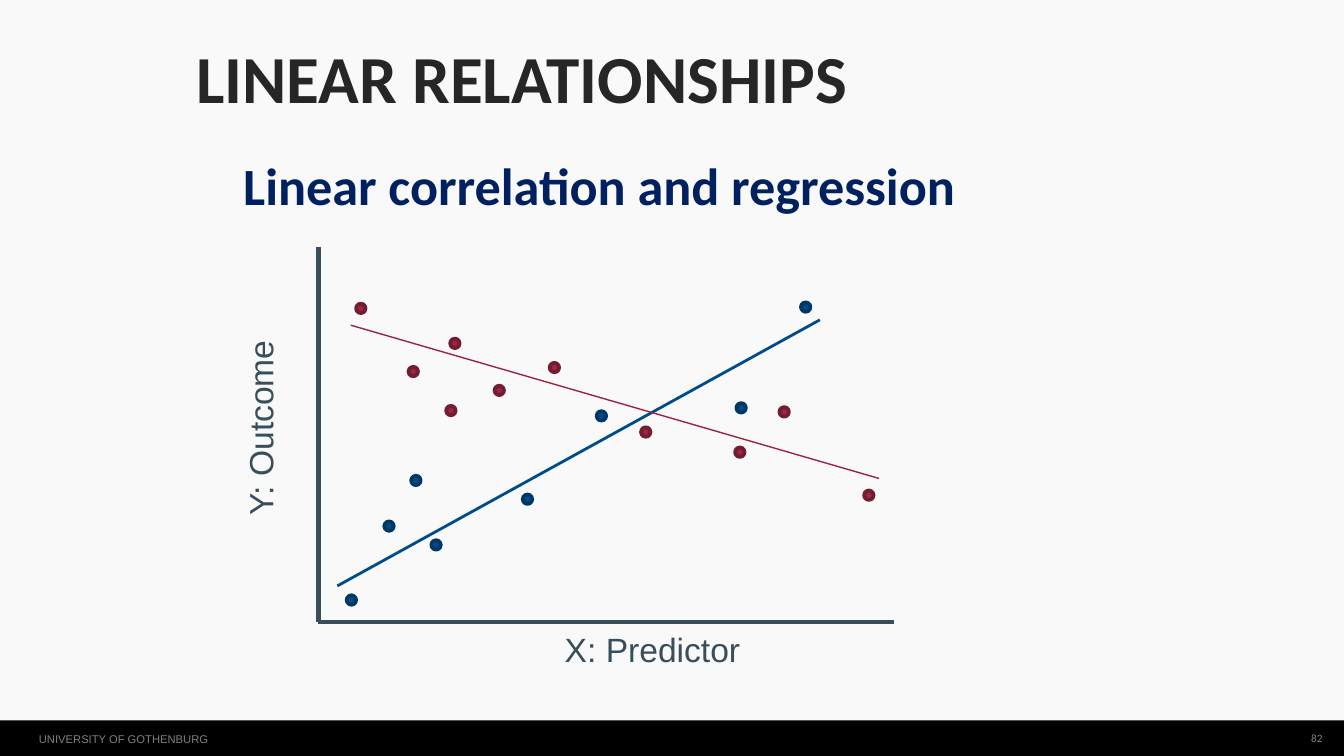
from lxml import etree
from pptx import Presentation
from pptx.dml.color import RGBColor
from pptx.enum.shapes import MSO_CONNECTOR, MSO_SHAPE
from pptx.enum.text import MSO_ANCHOR, PP_ALIGN
from pptx.oxml.ns import qn
from pptx.util import Inches, Pt

STRAIGHT = MSO_CONNECTOR.STRAIGHT
RECTANGLE, OVAL = MSO_SHAPE.RECTANGLE, MSO_SHAPE.OVAL
LEFT, CENTER, RIGHT = PP_ALIGN.LEFT, PP_ALIGN.CENTER, PP_ALIGN.RIGHT
TOP, MIDDLE, BOTTOM = MSO_ANCHOR.TOP, MSO_ANCHOR.MIDDLE, MSO_ANCHOR.BOTTOM

THEME = {
    "background": "F9F9F9", "footer_bar": "000000",
    # text styles: font, size, colour, bold
    "title": ("Calibri", 36, "262626", True),
    "subtitle": ("Calibri", 28, "002060", True),
    "axis_label": ("Arial", 18, "384E5B", False),
    "footer": ("Arial", 6, "808080", False),
    "page_number": ("Calibri", 6, "808080", False),
    # line styles: colour, width
    "axis": ("384E5B", 2.25),
    "rising": ("004B89", 1.5),
    "falling": ("9A2340", 0.75),
    # dot styles: fill, outline
    "rising_dot": ("004B89", "003765"),
    "falling_dot": ("9B2743", "731D32"),
    "dot_outline": 2,
}

SLIDE_WIDTH = Inches(10)
SLIDE_HEIGHT = SLIDE_WIDTH * 9 // 16
FOOTER_BAR = (0, 5.36, 10, 0.28)

# text, style, box (left, top, width, height), alignment, anchor, line spacing
TEXTS = [
    ("UNIVERSITY OF GOTHENBURG", "footer", (0.29, 5.45, 1.4, 0.14), LEFT, TOP, 1),
    ("LINEAR RELATIONSHIPS", "title", (1.46, 0.34, 6.38, 0.49), LEFT, TOP, 0.9),
    ("Linear correlation and regression", "subtitle", (1.81, 1.14, 6.47, 0.47), LEFT, BOTTOM, 1.1),
    ("82", "page_number", (9.6, 5.36, 0.24, 0.26), RIGHT, MIDDLE, 1),
]

# text, box, rotation
AXIS_LABELS = [
    ("Y: Outcome", (1.03, 2.95, 1.88, 0.47), 270),
    ("X: Predictor", (3.75, 4.63, 2.21, 0.47), 0),
]
LABEL_MARGIN = 0.05

ORIGIN = (2.37, 4.63)
AXIS_ENDS = [(2.37, 1.84), (6.65, 4.63)]

# trend line and the top left corner of each dot
SERIES = {
    "rising": {
        "line": ((2.51, 4.36), (6.1, 2.38)),
        "dots": [(2.58, 4.43), (2.86, 3.88), (3.06, 3.54), (3.21, 4.02),
                 (3.89, 3.68), (4.44, 3.06), (5.48, 3), (5.96, 2.25)],
    },
    "falling": {
        "line": ((2.61, 2.42), (6.54, 3.56)),
        "dots": [(2.65, 2.26), (3.04, 2.73), (3.32, 3.02), (3.35, 2.52), (3.68, 2.87),
                 (4.09, 2.7), (4.77, 3.18), (5.47, 3.33), (5.8, 3.03), (6.43, 3.65)],
    },
}
DOT_SIZE = 0.07


def color(code):
    return RGBColor.from_string(code)


def add_filled_shape(slide, kind, box, fill):
    shape = slide.shapes.add_shape(kind, *map(Inches, box))
    shape.shadow.inherit = False
    shape.fill.solid()
    shape.fill.fore_color.rgb = color(fill)
    shape.line.fill.background()
    return shape


def add_dot(slide, corner, style):
    fill, outline = THEME[style]
    dot = add_filled_shape(slide, OVAL, (*corner, DOT_SIZE, DOT_SIZE), fill)
    dot.line.color.rgb = color(outline)
    dot.line.width = Pt(THEME["dot_outline"])


def add_line(slide, start, end, style):
    line_color, width = THEME[style]
    line = slide.shapes.add_connector(STRAIGHT, *map(Inches, (*start, *end)))
    line.line.color.rgb = color(line_color)
    line.line.width = Pt(width)
    etree.SubElement(line._element.spPr, qn("a:effectLst"))


def add_text(slide, text, style, box, alignment, anchor, spacing, margin=0):
    shape = slide.shapes.add_textbox(*map(Inches, box))
    frame = shape.text_frame
    frame.word_wrap = True
    frame.vertical_anchor = anchor
    frame.margin_left = frame.margin_right = Inches(2 * margin)
    frame.margin_top = frame.margin_bottom = Inches(margin)
    paragraph = frame.paragraphs[0]
    paragraph.text = text
    paragraph.alignment = alignment
    paragraph.line_spacing = spacing
    font = paragraph.font
    font.name, size, font_color, font.bold = THEME[style]
    font.size = Pt(size)
    font.color.rgb = color(font_color)
    return shape


def main():
    presentation = Presentation()
    presentation.slide_width, presentation.slide_height = SLIDE_WIDTH, SLIDE_HEIGHT
    slide = presentation.slides.add_slide(presentation.slide_layouts[6])
    slide.background.fill.solid()
    slide.background.fill.fore_color.rgb = color(THEME["background"])

    add_filled_shape(slide, RECTANGLE, FOOTER_BAR, THEME["footer_bar"])
    for entry in TEXTS:
        add_text(slide, *entry)
    for end in AXIS_ENDS:
        add_line(slide, ORIGIN, end, "axis")
    for name, series in SERIES.items():
        add_line(slide, *series["line"], name)
        for corner in series["dots"]:
            add_dot(slide, corner, f"{name}_dot")
    for text, box, rotation in AXIS_LABELS:
        label = add_text(slide, text, "axis_label", box, CENTER, TOP, 1, LABEL_MARGIN)
        label.rotation = rotation

    presentation.save("out.pptx")


if __name__ == "__main__":
    main()
